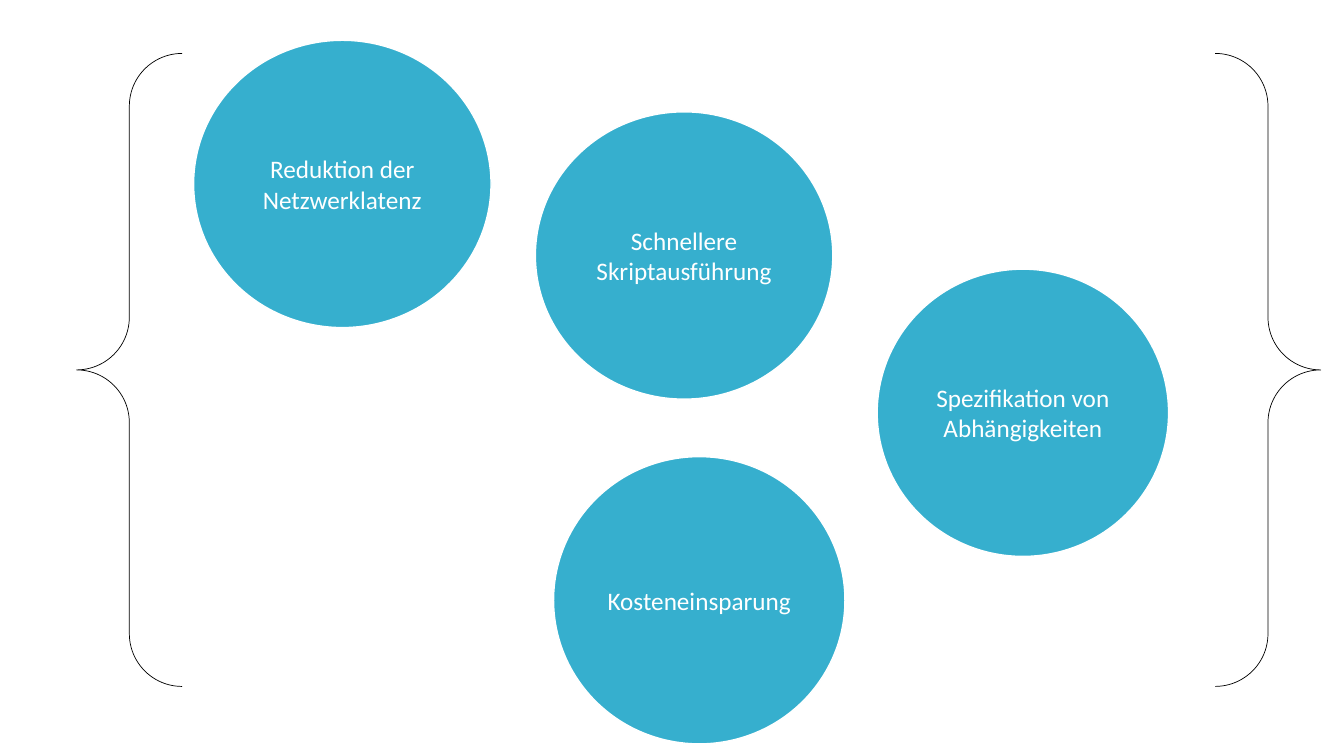
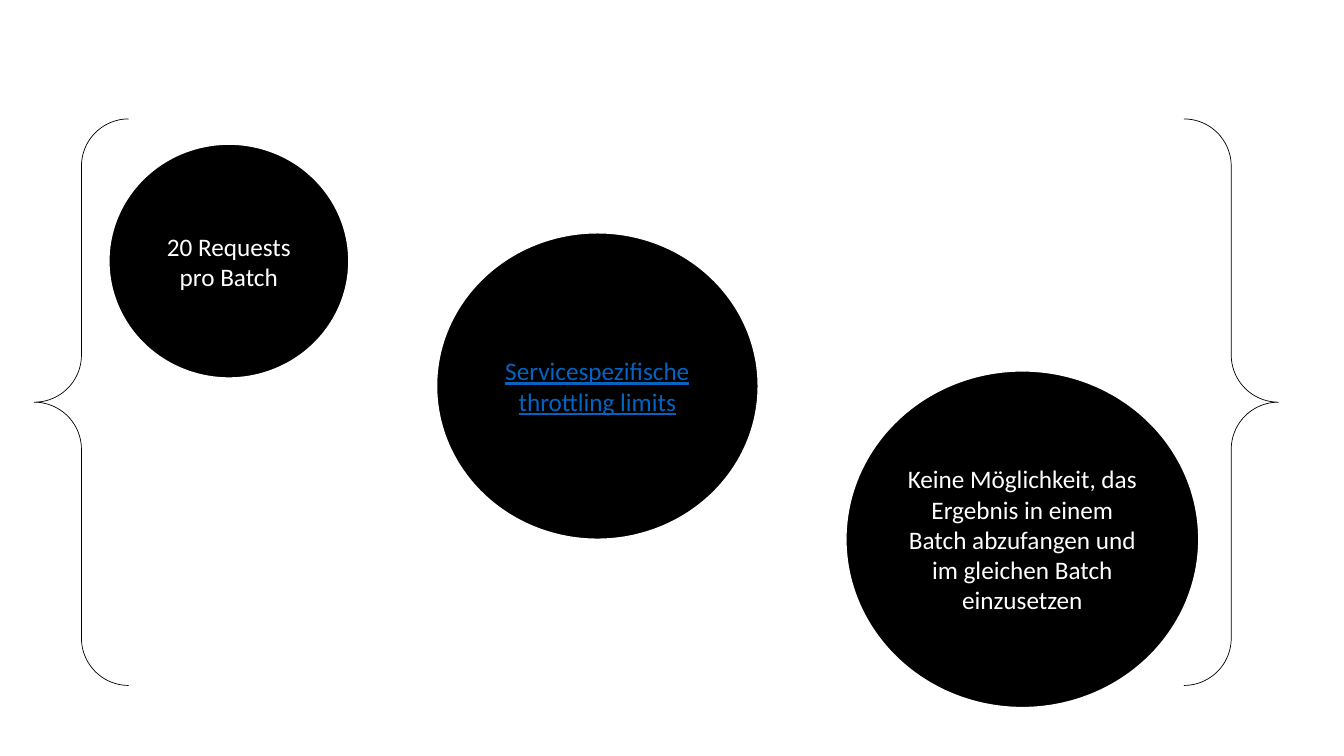
import pptx
import pptx.util
import pptx.dml.color
import pptx.enum.shapes
import pptx.enum.text

Inches = pptx.util.Inches
Pt = pptx.util.Pt
SHAPE = pptx.enum.shapes.MSO_SHAPE

FONT = "Calibri"
COLORS = {
    "teal": "36AFCE",
    "black": "000000",
    "white": "FFFFFF",
    "link": "0563C1",
}

# Each circle: left and top from the brace box, width, height, text, text colour
GAINS = [
    (1.16, -0.13, 2.95, 2.85, "Reduktion der Netzwerklatenz", "white"),
    (4.55, 0.58, 2.95, 2.85, "Schnellere Skriptausführung", "white"),
    (7.94, 2.14, 2.89, 2.85, "Spezifikation von Abhängigkeiten", "white"),
    (4.73, 4, 2.89, 2.85, "Kosteneinsparung", "white"),
]
LIMITS = [
    (0.74, 0.25, 2.38, 2.32, "20 Requests pro Batch", "white"),
    (8.05, 2.5, 3.5, 3.34,
     "Keine Möglichkeit, das Ergebnis in einem Batch abzufangen "
     "und im gleichen Batch einzusetzen", "white"),
    (3.99, 1.13, 3.19, 3.04, "Servicespezifische throttling limits", "link"),
]


def color(name):
    return pptx.dml.color.RGBColor.from_string(COLORS[name])


def add_shape(slide, kind, box, line, width):
    shape = slide.shapes.add_shape(kind, *map(Inches, box))
    shape.shadow.inherit = False
    shape.line.color.rgb = color(line)
    shape.line.width = Pt(width)
    return shape


def add_braces(slide, box):
    braces = add_shape(slide, SHAPE.DOUBLE_BRACE, box, "black", 0.5)
    braces.fill.background()


def add_circle(slide, box, text, fill, ink):
    circle = add_shape(slide, SHAPE.FLOWCHART_CONNECTOR, box, "white", 1)
    circle.fill.solid()
    circle.fill.fore_color.rgb = color(fill)
    frame = circle.text_frame
    frame.text = text
    frame.word_wrap = True
    frame.vertical_anchor = pptx.enum.text.MSO_ANCHOR.MIDDLE
    para = frame.paragraphs[0]
    para.alignment = pptx.enum.text.PP_ALIGN.CENTER
    font = para.runs[0].font
    font.name = FONT
    font.size = Pt(18)
    font.color.rgb = color(ink)
    if ink == "link":
        font.underline = True


def add_slide(deck, box, fill, circles):
    """Add a slide with circles set inside a pair of braces."""
    slide = deck.slides.add_slide(deck.slide_layouts[6])
    add_braces(slide, box)
    for left, top, width, height, text, ink in circles:
        place = (box[0] + left, box[1] + top, width, height)
        add_circle(slide, place, text, fill, ink)


def main():
    deck = pptx.Presentation()
    deck.slide_width = Inches(13.33)
    deck.slide_height = Inches(7.5)
    add_slide(deck, (0.76, 0.53, 12.34, 6.28), "teal", GAINS)
    add_slide(deck, (0.34, 1.18, 12.34, 5.62), "black", LIMITS)
    deck.save("out.pptx")


if __name__ == "__main__":
    main()
